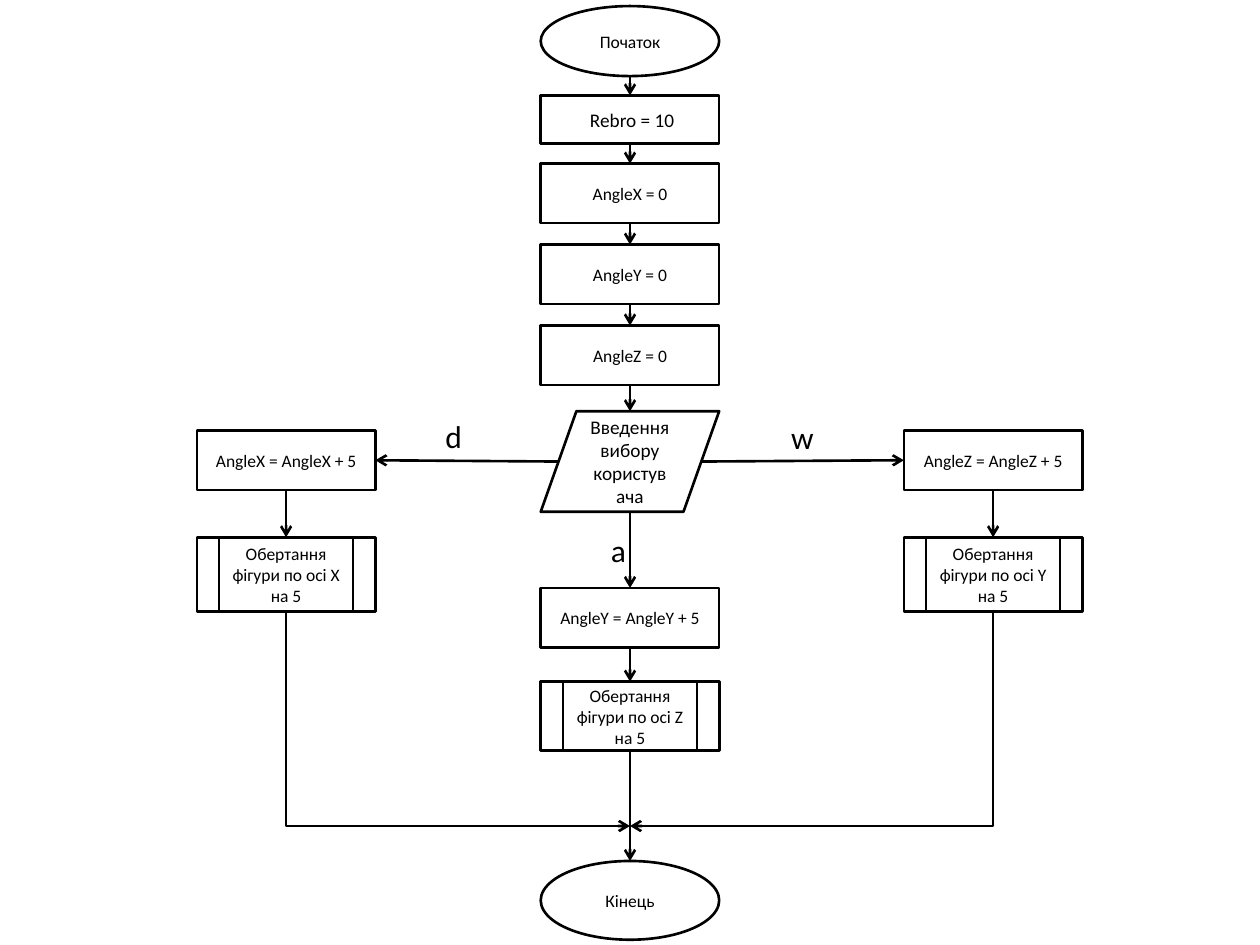
"""Build a flowchart slide of a figure that turns about its axes by key press."""
from dataclasses import dataclass

from lxml import etree
from pptx import Presentation
from pptx.dml.color import RGBColor
from pptx.enum import shapes, text
from pptx.oxml.ns import qn
from pptx.util import Pt

KIND = shapes.MSO_SHAPE
LINK = shapes.MSO_CONNECTOR
TOP, LEFT, BASE, RIGHT = range(4)
OVAL, STEP, CALL, INPUT = (KIND.OVAL, KIND.RECTANGLE,
                           KIND.FLOWCHART_PREDEFINED_PROCESS, KIND.FLOWCHART_DATA)


@dataclass(frozen=True)
class Theme:
    font: str = "Calibri"
    ink: RGBColor = RGBColor(0, 0, 0)
    small: float = 10
    mid: float = 11
    large: float = 18
    line: float = 1.5
    wide: float = 102


THEME = Theme()


def style(frame, words, size):
    para = frame.paragraphs[0]
    para.text = words
    para.font.name = THEME.font
    para.font.size = Pt(size)
    para.font.color.rgb = THEME.ink
    return para


def stroke(item):
    item.line.color.rgb = THEME.ink
    item.line.width = Pt(THEME.line)


def box(slide, kind, words, mid, top, high, size=THEME.small):
    node = slide.shapes.add_shape(kind, Pt(mid - THEME.wide / 2), Pt(top),
                                  Pt(THEME.wide), Pt(high))
    node.shadow.inherit = False
    node.fill.background()
    stroke(node)
    frame = node.text_frame
    frame.word_wrap = True
    frame.vertical_anchor = text.MSO_ANCHOR.MIDDLE
    style(frame, words, size).alignment = text.PP_ALIGN.CENTER
    return node


def label(slide, words, left, top, wide):
    area = slide.shapes.add_textbox(Pt(left), Pt(top), Pt(wide), Pt(29))
    area.text_frame.word_wrap = False
    area.text_frame.auto_size = text.MSO_AUTO_SIZE.SHAPE_TO_FIT_TEXT
    style(area.text_frame, words, THEME.large)


def spot(node, side):
    slant = node.width // 10 if node.auto_shape_type == INPUT else 0
    mid, half = node.left + node.width // 2, node.top + node.height // 2
    return {TOP: (mid, node.top), LEFT: (node.left + slant, half),
            BASE: (mid, node.top + node.height),
            RIGHT: (node.left + node.width - slant, half)}[side]


def finish(line):
    stroke(line)
    etree.SubElement(line.line._get_or_add_ln(), qn("a:tailEnd"), type="arrow")
    etree.SubElement(line._element.spPr, qn("a:effectLst"))


def arrow(slide, start, end, out=BASE, into=TOP):
    line = slide.shapes.add_connector(LINK.STRAIGHT, *spot(start, out), *spot(end, into))
    if start.auto_shape_type in (STEP, CALL):
        line.begin_connect(start, out)
    if end.auto_shape_type in (STEP, CALL):
        line.end_connect(end, into)
    finish(line)


def bend(slide, start, goal):
    """Draw an elbow that runs down and then sideways, as a turned two-part connector."""
    (ax, ay), (bx, by) = spot(start, BASE), goal
    wide, high = by - ay, abs(bx - ax)
    left, top = (ax + bx - wide) // 2, (ay + by - high) // 2
    ends = (left + wide, left) if bx > ax else (left, left + wide)
    line = slide.shapes.add_connector(LINK.ELBOW, ends[0], top, ends[1], top + high)
    form = line._element.spPr
    form.find(qn("a:prstGeom")).set("prst", "bentConnector2")
    form.find(qn("a:xfrm")).set("rot", str((270 if bx > ax else 90) * 60000))
    finish(line)


def chain(slide, nodes):
    for start, end in zip(nodes, nodes[1:]):
        arrow(slide, start, end)


def branch(slide, mid, axis, turn):
    nodes = [box(slide, STEP, f"Angle{axis} = Angle{axis} + 5", mid, 246, 34),
             box(slide, CALL, f"Обертання фігури по осі {turn} на 5", mid, 307, 42.5)]
    chain(slide, nodes)
    bend(slide, nodes[-1], (Pt(360), Pt(472)))
    return nodes[0]


def main():
    deck = Presentation()
    deck.slide_width, deck.slide_height = Pt(720), Pt(540)
    slide = deck.slides.add_slide(deck.slide_layouts[6])

    steps = [
        (OVAL, "Початок", 3.5, 40),
        (STEP, " Rebro = 10", 54.5, 27.5, THEME.mid),
        (STEP, "AngleX = 0", 93.5, 34),
        (STEP, "AngleY = 0", 139.75, 34),
        (STEP, "AngleZ = 0", 186, 34),
        (INPUT, "Введення вибору користувача", 235, 57.5, THEME.mid),
        (STEP, "AngleY = AngleY + 5", 336, 34),
        (CALL, "Обертання фігури по осі Z на 5", 389.5, 39.5),
        (OVAL, "Кінець", 492, 45),
    ]
    spine = [box(slide, kind, words, 360, *rest) for kind, words, *rest in steps]
    chain(slide, spine)

    choice = spine[5]
    arrow(slide, choice, branch(slide, 163.5, "X", "X"), LEFT, RIGHT)
    arrow(slide, choice, branch(slide, 567.5, "Z", "Y"), RIGHT, LEFT)

    for words, left, top, wide in (("d", 247.5, 235, 24.5), ("w", 445, 235.5, 27.5),
                                   ("a", 342, 300, 23)):
        label(slide, words, left, top, wide)
    deck.save("out.pptx")


if __name__ == "__main__":
    main()
